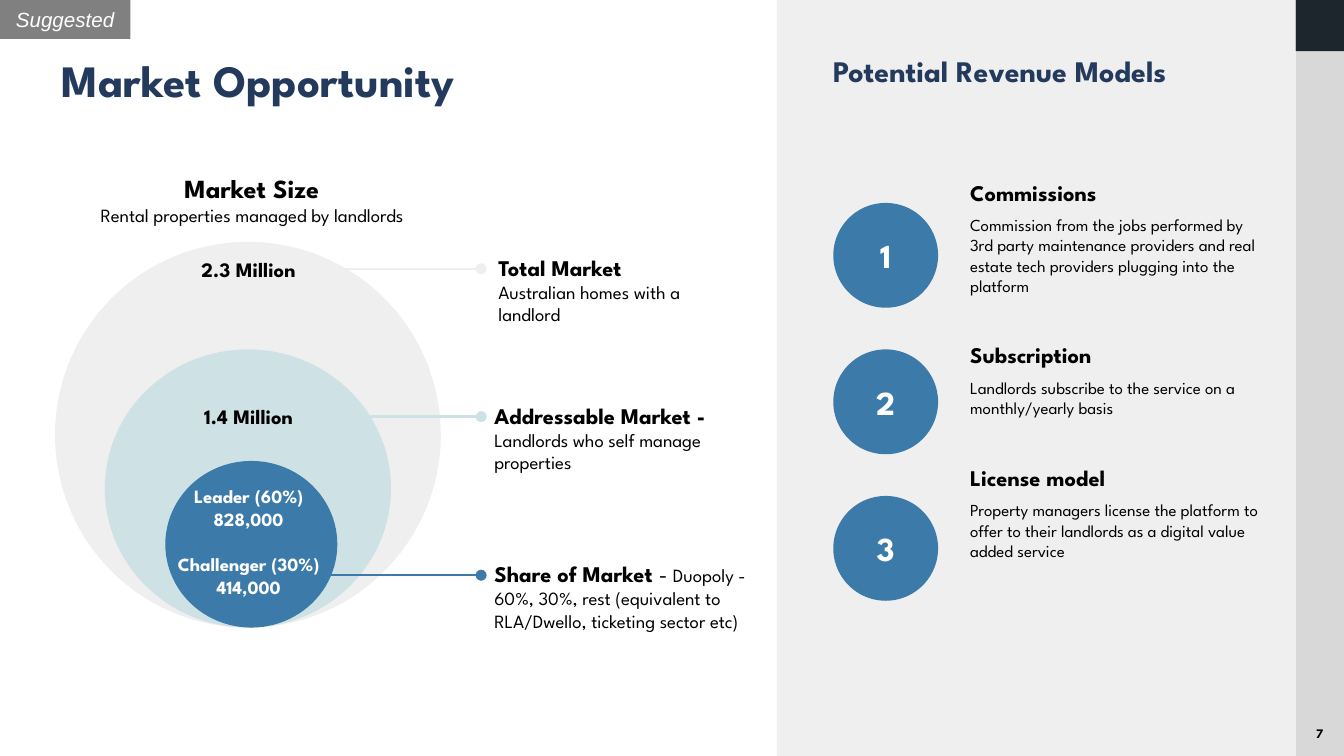
from lxml.etree import SubElement
from pptx import Presentation
from pptx.dml.color import RGBColor
from pptx.enum.shapes import MSO_CONNECTOR, MSO_SHAPE
from pptx.enum.text import MSO_ANCHOR, PP_ALIGN
from pptx.oxml.ns import qn
from pptx.util import Inches, Pt

WHITE = RGBColor(0xFF, 0xFF, 0xFF)
BLACK = RGBColor(0, 0, 0)
NAVY = RGBColor(0x23, 0x3A, 0x5D)
BLUE = RGBColor(0x3C, 0x7B, 0xA9)
PALE_BLUE = RGBColor(0xCE, 0xE2, 0xE6)
PALE_GREY = RGBColor(0xEF, 0xEF, 0xEF)
MID_GREY = RGBColor(0xD8, 0xD8, 0xD8)
TAG_GREY = RGBColor(0x80, 0x80, 0x80)
INK = RGBColor(0x1D, 0x25, 0x2D)
FONT = "League Spartan"


def add_solid(s, kind, x, y, w, h, color):
    sp = s.shapes.add_shape(kind, Inches(x), Inches(y), Inches(w), Inches(h))
    sp.shadow.inherit = False
    sp.fill.solid()
    sp.fill.fore_color.rgb = color
    sp.line.fill.background()
    return sp


def set_text(sp, paragraphs, color=BLACK, align=PP_ALIGN.LEFT, anchor=MSO_ANCHOR.TOP,
             inset=0.05, font=FONT, italic=False):
    """Each paragraph is (space before, [(text, size, bold), ...])."""
    tf = sp.text_frame
    tf.word_wrap = True
    tf.vertical_anchor = anchor
    tf.margin_left = tf.margin_right = Inches(0.1)
    tf.margin_top = tf.margin_bottom = Inches(inset)
    for i, (space, runs) in enumerate(paragraphs):
        p = tf.paragraphs[0] if i == 0 else tf.add_paragraph()
        p.alignment = align
        if space:
            p.space_before = Pt(space)
        for text, size, bold in runs:
            r = p.add_run()
            r.text = text
            r.font.name = font
            r.font.size = Pt(size)
            r.font.bold = bold
            r.font.italic = italic
            r.font.color.rgb = color


def add_text(s, x, y, w, h, paragraphs, **style):
    box = s.shapes.add_textbox(Inches(x), Inches(y), Inches(w), Inches(h))
    set_text(box, paragraphs, **style)


def add_leader(s, x1, x2, y, color):
    line = s.shapes.add_connector(MSO_CONNECTOR.STRAIGHT, Inches(x1), Inches(y),
                                  Inches(x2), Inches(y))
    line.line.color.rgb = color
    line.line.width = Pt(1.25)
    SubElement(line.line._get_or_add_ln(), qn("a:tailEnd"), type="oval")
    SubElement(line._element.spPr, qn("a:effectLst"))


def add_side_strip(s, x, y, w, h):
    add_solid(s, MSO_SHAPE.RECTANGLE, x, y, w, h, MID_GREY)
    add_solid(s, MSO_SHAPE.RECTANGLE, x, y, w, 0.38, INK)
    add_text(s, x - 0.05, y + 5.35, w + 0.1, 0.22, [(0, [("7", 7, True)])],
             align=PP_ALIGN.CENTER)


def add_header(s, x, y, w, h):
    tag = add_solid(s, MSO_SHAPE.RECTANGLE, x, y, 0.97, 0.29, TAG_GREY)
    set_text(tag, [(0, [("Suggested", 11, False)])], color=WHITE, align=PP_ALIGN.CENTER,
             anchor=MSO_ANCHOR.MIDDLE, font="Arial", italic=True)
    add_text(s, x + 0.36, y + 0.29, w - 0.42, h - 0.29,
             [(0, [("Market Opportunity", 24, True)])], color=NAVY, inset=0.1)


def add_market_size(s, x, y):
    center = PP_ALIGN.CENTER
    add_text(s, x, y, 3.03, 0.38,
             [(0, [("Market Size", 14, True)]),
              (0, [("Rental properties managed by landlords", 10, False)])],
             align=center, anchor=MSO_ANCHOR.MIDDLE)

    # Nested circles on a common base, with leader lines behind the smallest
    base = y + 3.38
    for dx, w, h, color in [(0.05, 2.87, 2.87, PALE_GREY), (0.42, 2.13, 2.07, PALE_BLUE)]:
        add_solid(s, MSO_SHAPE.OVAL, x + dx, base - h, w, h, color)
    for dx, dy, color in [(2.03, 0.71, PALE_GREY), (2.03, 1.81, PALE_BLUE),
                          (1.82, 2.99, BLUE)]:
        add_leader(s, x + dx, x + 3.22, y + dy, color)
    add_solid(s, MSO_SHAPE.OVAL, x + 0.87, base - 1.24, 1.28, 1.24, BLUE)

    # Values inside the circles
    for dy, value in [(0.57, "2.3 Million"), (1.67, "1.4 Million")]:
        add_text(s, x + 0.74, y + dy, 1.5, 0.29, [(0, [(value, 11, True)])], align=center)
    shares = [(0, "Leader (60%)"), (0, "828,000"), (12.5, "Challenger (30%)"), (0, "414,000")]
    add_text(s, x + 0.74, y + 2.27, 1.5, 0.47,
             [(space, [(text, 10, True)]) for space, text in shares],
             color=WHITE, align=center)

    # Descriptions beside the leader lines
    add_text(s, x + 3.25, y + 0.55, 2.03, 0.82,
             [(0, [("Total Market", 12, True)]),
              (0, [("Australian homes with a landlord", 10, False)])])
    add_text(s, x + 3.22, y + 1.65, 2.03, 0.97,
             [(0, [("Addressable Market - ", 12, True),
                   ("Landlords who self manage properties", 10, False)])])
    add_text(s, x + 3.22, y + 2.83, 2.2, 0.82,
             [(0, [("Share of Market ", 12, True), ("- ", 12, False),
                   ("Duopoly - 60%, 30%, rest (equivalent to RLA/Dwello, "
                    "ticketing sector etc)", 10, False)])])


def add_revenue_models(s, x, y, w, h):
    models = [
        ("Commissions", "Commission from the jobs performed by 3rd party maintenance "
         "providers and real estate tech providers plugging into the platform"),
        ("Subscription", "Landlords subscribe to the service on a monthly/yearly basis"),
        ("License model", "Property managers license the platform to offer to their "
         "landlords as a digital value added service"),
    ]
    add_solid(s, MSO_SHAPE.RECTANGLE, x, y, w, h, PALE_GREY)
    add_text(s, x + 0.32, y + 0.29, 3.15, 0.94,
             [(0, [("Potential Revenue Models", 16, True)])], color=NAVY, inset=0.1)

    paragraphs = []
    for i, (name, detail) in enumerate(models):
        # Numbered circle
        circle = add_solid(s, MSO_SHAPE.OVAL, x + 0.42, y + 1.51 + i * 1.09,
                           0.78, 0.78, BLUE)
        set_text(circle, [(0, [(str(i + 1), 18, True)])], color=WHITE,
                 align=PP_ALIGN.CENTER, anchor=MSO_ANCHOR.MIDDLE)
        paragraphs += [(24.5 if i else 0, [(name, 12, True)]), (5, [(detail, 9, False)])]
    add_text(s, x + 1.34, y + 1.23, 2.4, 3.99, paragraphs, inset=0.1)


def main():
    prs = Presentation()
    prs.slide_width = Inches(10)
    prs.slide_height = prs.slide_width * 9 // 16
    height = prs.slide_height.inches if hasattr(prs.slide_height, "inches") else 5.62
    s = prs.slides.add_slide(prs.slide_layouts[6])
    add_side_strip(s, 9.64, 0, 0.36, height)
    add_revenue_models(s, 5.78, 0, 3.86, height)
    add_market_size(s, 0.36, 1.29)
    add_header(s, 0, 0, 5.78, 1.23)
    prs.save("out.pptx")


if __name__ == "__main__":
    main()
